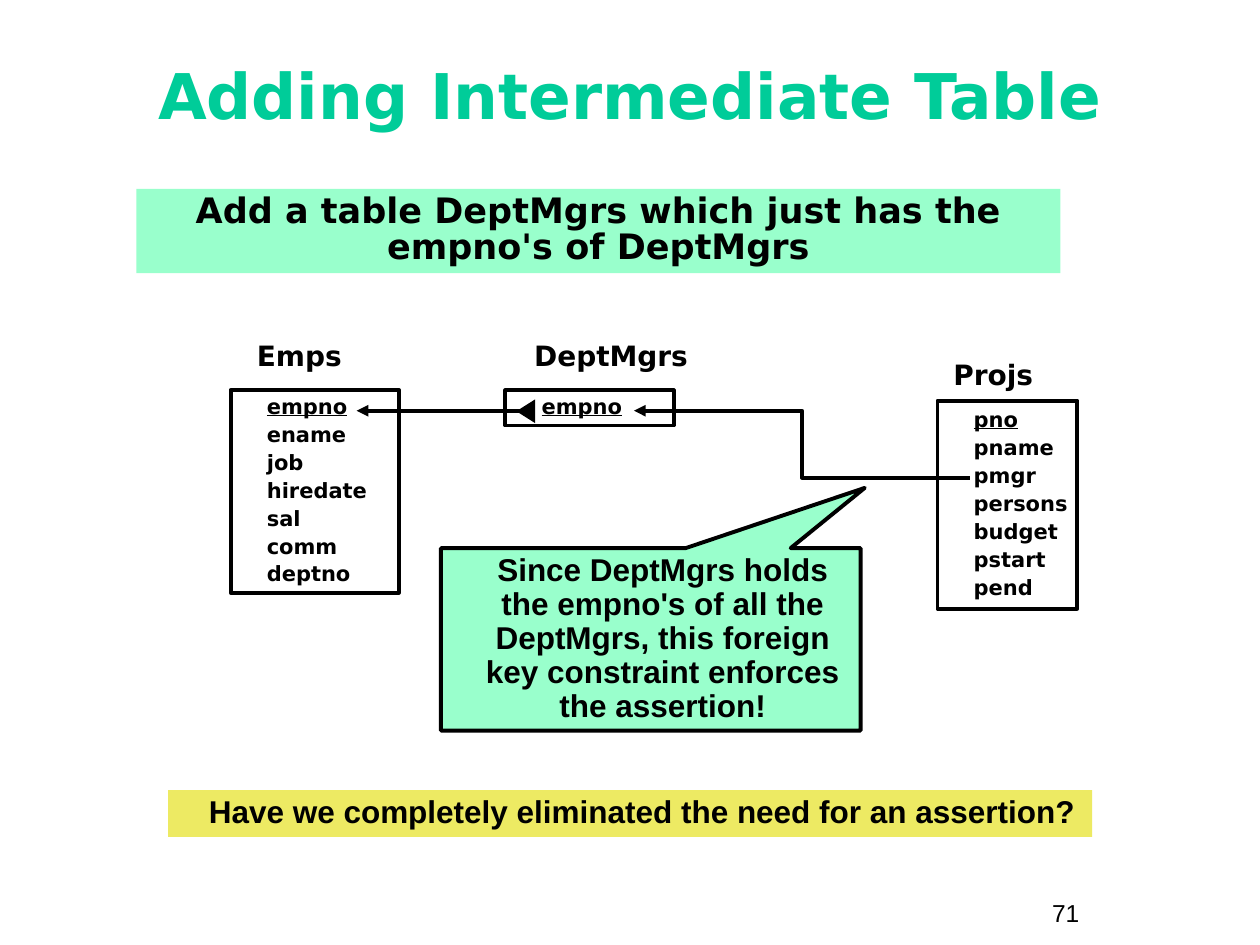
from lxml import etree
from pptx import Presentation
from pptx.dml.color import RGBColor
from pptx.enum import shapes, text
from pptx.oxml import ns
from pptx.util import Cm, Pt

SANS, ARIAL = "DejaVu Sans", "Arial"
BLACK, MINT, GOLD, TEAL = "000000", "99FFCC", "EDEA63", "00CC99"


def paint(target, tint):
    """Give a fill or line format a solid colour, or clear it."""
    if tint is None:
        target.background()
    else:
        target.solid()
        target.fore_color.rgb = RGBColor.from_string(tint)


def write(shape, words, size, font=SANS, tint=BLACK, bold=True, align="LEFT",
          ls=0.9, gap=0, indent=0, anchor="TOP", wrap=True):
    """Set the text of a shape and format its paragraphs and runs."""
    frame = shape.text_frame
    frame.text = words
    frame.word_wrap = wrap
    frame.auto_size = text.MSO_AUTO_SIZE.NONE
    frame.vertical_anchor = getattr(text.MSO_ANCHOR, anchor)
    for i, para in enumerate(frame.paragraphs):
        para.alignment = getattr(text.PP_ALIGN, align)
        para.line_spacing = ls
        para.space_before = Pt(gap if i else 0)
        props = para._p.get_or_add_pPr()
        props.set("marL", str(Cm(indent)))
        props.set("indent", "0")
        for run in para.runs:
            run.font.name, run.font.size, run.font.bold = font, Pt(size), bold
            paint(run.font.fill, tint)


deck = Presentation()
deck.slide_width, deck.slide_height = Cm(25.4), Cm(19.05)
slide = deck.slides.add_slide(deck.slide_layouts[5])
items = slide.shapes

# Title
title = items.title
title.left, title.top, title.width, title.height = map(Cm, (0.85, 0.85, 23.7, 2.33))
write(title, "Adding Intermediate Table", 36, tint=TEAL, align="CENTER",
      ls=0.85, anchor="MIDDLE")

# Table names and page number
for words, x, y, wide, size, font, bold in (
    ("Emps", 4.93, 6.78, 3.45, 16, SANS, True),
    ("DeptMgrs", 10.52, 6.78, 3.89, 16, SANS, True),
    ("Projs", 18.97, 7.16, 3.45, 16, SANS, True),
    ("71", 20.96, 17.98, 2.34, 14, ARIAL, False),
):
    label = items.add_textbox(Cm(x), Cm(y), Cm(wide), Cm(0.86))
    write(label, words, size, font, bold=bold, ls=0.9 if bold else 1)

# Banners, table boxes, callout and the foreign key's arrowhead
kinds = shapes.MSO_SHAPE
field = dict(size=12, gap=3, indent=0.48, anchor="MIDDLE")
note = dict(size=18, font=ARIAL, align="CENTER", indent=0.48)
for kind, place, fill, edge, words, style in (
    (kinds.RECTANGLE, (2.75, 3.81, 18.63, 1.7), MINT, None,
     "Add a table DeptMgrs which just has the empno's of DeptMgrs",
     dict(size=20, align="CENTER", ls=0.85)),
    (kinds.RECTANGLE, (4.65, 7.86, 3.39, 4.09), None, BLACK,
     "empno\nename\njob\nhiredate\nsal\ncomm\ndeptno", field),
    (kinds.RECTANGLE, (18.9, 8.08, 2.82, 4.19), None, BLACK,
     "pno\npname\npmgr\npersons\nbudget\npstart\npend", dict(field, wrap=False)),
    (kinds.RECTANGLE, (10.19, 7.87, 3.39, 0.71), None, BLACK, "empno", field),
    (kinds.RECTANGULAR_CALLOUT, (8.89, 11.05, 8.46, 3.68), MINT, BLACK,
     "Since DeptMgrs holds the empno's of all the DeptMgrs, "
     "this foreign key constraint enforces the assertion!",
     dict(note, anchor="MIDDLE")),
    (kinds.RECTANGLE, (3.39, 15.93, 18.63, 0.94), GOLD, None,
     "Have we completely eliminated the need for an assertion?", note),
    (kinds.ISOSCELES_TRIANGLE, (10.36, 8.1, 0.48, 0.38), BLACK, None, "", None),
):
    box = items.add_shape(kind, *map(Cm, place))
    box.shadow.inherit = False
    paint(box.fill, fill)
    paint(box.line.fill, edge)
    if edge:
        box.line.width = Pt(2.25)
    if style:
        write(box, words, **style)
    if style and style["size"] == 12:
        # The first field is the key
        box.text_frame.paragraphs[0].runs[0].font.underline = True
    if kind == kinds.RECTANGULAR_CALLOUT:
        box.adjustments[0], box.adjustments[1] = 0.51, -0.83
    if kind == kinds.ISOSCELES_TRIANGLE:
        box.rotation = 270

# Foreign keys
links = shapes.MSO_CONNECTOR
for kind, ends, tip in (
    (links.ELBOW, (12.78, 8.28, 19.56, 9.63), "headEnd"),
    (links.STRAIGHT, (10.77, 8.28, 7.19, 8.28), "tailEnd"),
):
    link = items.add_connector(kind, *map(Cm, ends))
    paint(link.line.fill, BLACK)
    link.line.width = Pt(2.25)
    props = link._element.spPr
    etree.SubElement(link.line._get_or_add_ln(), ns.qn("a:" + tip), type="triangle")
    etree.SubElement(props, ns.qn("a:effectLst"))

deck.save("out.pptx")
